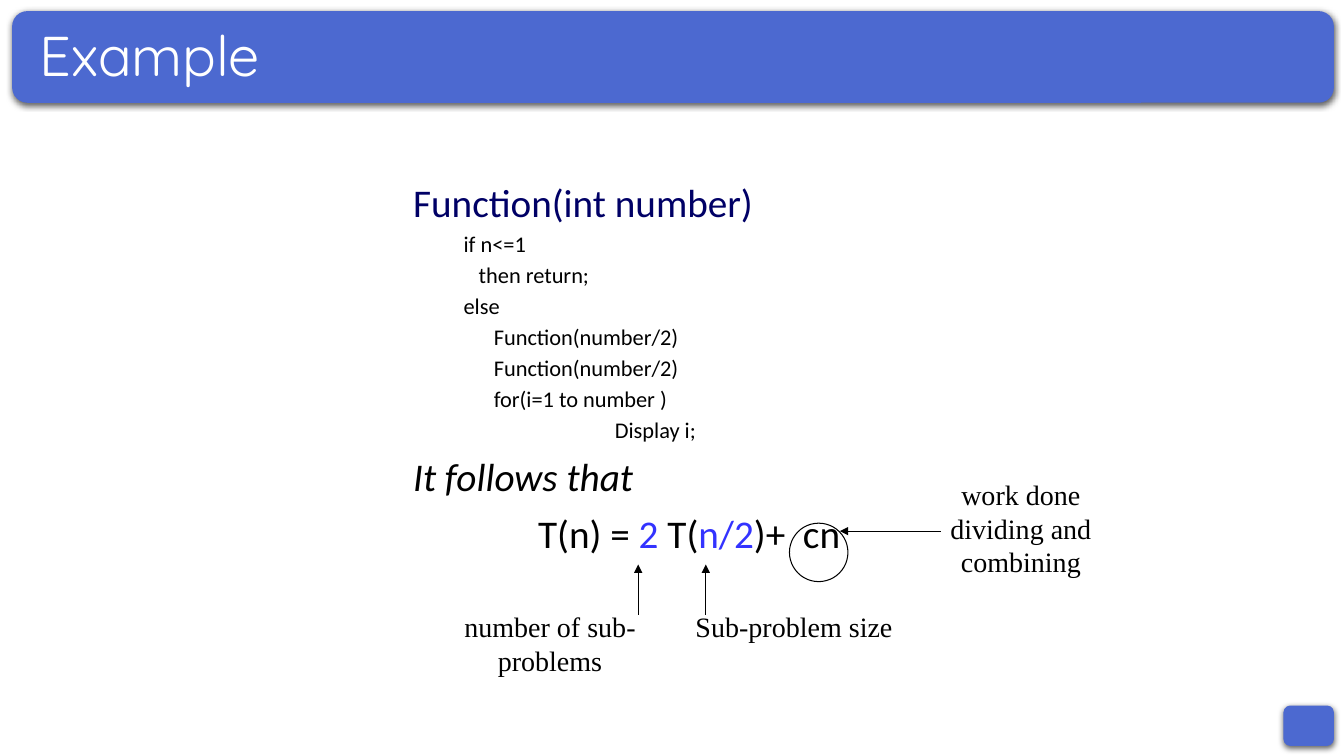
from lxml import etree
from pptx import Presentation
from pptx.dml.color import RGBColor
from pptx.enum.shapes import MSO_CONNECTOR as CONN, MSO_SHAPE as SHAPE
from pptx.enum.text import MSO_ANCHOR as ANCHOR, MSO_AUTO_SIZE as AUTO, PP_ALIGN as ALIGN
from pptx.oxml import parse_xml
from pptx.oxml.ns import nsdecls, qn
from pptx.util import Inches, Pt

WHITE = RGBColor(0xFF, 0xFF, 0xFF)
BLACK = RGBColor(0, 0, 0)
BAND = RGBColor(0x4C, 0x69, 0xD0)
NAVY = RGBColor(0, 0, 0x66)
BLUE = RGBColor(0x33, 0x33, 0xFF)

HEADING = {"name": "Quicksand", "size": Pt(40)}
LARGE = {"name": "Calibri", "size": Pt(28)}
CODE = {"name": "Calibri", "size": Pt(16)}
NOTE = {"name": "Times New Roman", "size": Pt(20)}

CODE_LINES = [
    ("if n<=1", 0.5),
    ("then return;", 0.65),
    ("else", 0.5),
    ("Function(number/2)", 0.8),
    ("Function(number/2)", 0.8),
    ("for(i=1 to number )", 0.8),
    ("Display i;", 2),
]
FORMULA = [("T(n) = ", BLACK), ("2", BLUE), (" T(", BLACK), ("n/2", BLUE), (")+", BLACK)]


def add_run(p, text, style, color=BLACK):
    r = p.add_run()
    r.text = text
    for name, value in style.items():
        setattr(r.font, name, value)
    r.font.color.rgb = color
    return r


def add_text_box(slide, box):
    tf = slide.shapes.add_textbox(*map(Inches, box)).text_frame
    tf.word_wrap = True
    return tf


def add_panel(slide, box):
    sp = slide.shapes.add_shape(SHAPE.ROUNDED_RECTANGLE, *map(Inches, box))
    sp.fill.solid()
    sp.fill.fore_color.rgb = BAND
    sp.line.fill.background()
    sp._element.spPr.append(parse_xml(
        f'<a:effectLst {nsdecls("a")}>'
        '<a:outerShdw blurRad="57150" dist="19050" dir="5400000" algn="ctr" rotWithShape="0">'
        '<a:srgbClr val="000000"><a:alpha val="63000"/></a:srgbClr>'
        '</a:outerShdw></a:effectLst>'))


def add_title(slide, box, text):
    left, top, width, height = box
    add_panel(slide, box)
    title = slide.shapes.title
    slide.shapes._spTree.append(title._element)
    place = {"left": left + 0.17, "top": top + 0.14, "width": width - 0.35, "height": 0.65}
    for name, value in place.items():
        setattr(title, name, Inches(value))
    tf = title.text_frame
    tf.auto_size = AUTO.NONE
    tf.vertical_anchor = ANCHOR.MIDDLE
    p = tf.paragraphs[0]
    p.alignment = ALIGN.LEFT
    p.line_spacing = 0.9
    add_run(p, text, HEADING, WHITE)


def add_code(slide, box):
    tf = add_text_box(slide, box)

    def add_line(before, indent=0):
        p = tf.paragraphs[0] if not tf.text else tf.add_paragraph()
        p.line_spacing = 0.9
        p.space_before = Pt(before)
        p._p.get_or_add_pPr().set("marL", str(Inches(indent)))
        return p

    add_run(add_line(10), "Function(int number)", LARGE, NAVY)
    for text, indent in CODE_LINES:
        add_run(add_line(5, indent), text, CODE)
    add_run(add_line(10), "It follows that", {**LARGE, "italic": True})
    p = add_line(10)
    p.alignment = ALIGN.CENTER
    for text, color in FORMULA:
        add_run(p, text, LARGE, color)
    gap = add_run(p, " ", LARGE)
    gap._r.get_or_add_rPr().set("spc", "630")
    add_run(p, "cn", LARGE)


def add_arrow(slide, start, end):
    ends = map(Inches, (*start, *end))
    line = slide.shapes.add_connector(CONN.STRAIGHT, *ends)
    line.line.color.rgb = BLACK
    line.line.width = Pt(0.75)
    etree.SubElement(line.line._get_or_add_ln(), qn("a:tailEnd"), type="triangle")
    etree.SubElement(line._element.spPr, qn("a:effectLst"))


def add_note(slide, box, text, start, end):
    left, top = box[:2]
    tf = add_text_box(slide, box)
    tf.auto_size = AUTO.SHAPE_TO_FIT_TEXT
    p = tf.paragraphs[0]
    p.alignment = ALIGN.CENTER
    add_run(p, text, NOTE)
    add_arrow(slide, (left + start[0], top + start[1]), (left + end[0], top + end[1]))


def add_ring(slide, box):
    sp = slide.shapes.add_shape(SHAPE.OVAL, *map(Inches, box))
    sp.shadow.inherit = False
    sp.fill.background()
    sp.line.color.rgb = BLACK
    sp.line.width = Pt(0.75)


def main():
    prs = Presentation()
    prs.slide_width, prs.slide_height = Inches(13.33), Inches(7.5)
    slide = prs.slides.add_slide(prs.slide_layouts[5])
    add_panel(slide, (12.73, 7, 0.5, 0.4))
    add_title(slide, (0.12, 0.11, 13.11, 0.91), "Example")
    add_code(slide, (4, 1.77, 5.67, 3.48))
    add_note(slide, (4.33, 6, 2.25, 0.77), "number of sub-problems", (2, 0.1), (2, -0.4))
    add_note(slide, (6.75, 6, 2.25, 0.43), "Sub-problem size", (0.25, 0.1), (0.25, -0.4))
    add_note(slide, (9.25, 4.69, 1.75, 1.1), "work done dividing and combining",
             (0.08, 0.58), (-0.92, 0.58))
    add_ring(slide, (7.83, 5.19, 0.58, 0.58))
    prs.save("out.pptx")


if __name__ == "__main__":
    main()
